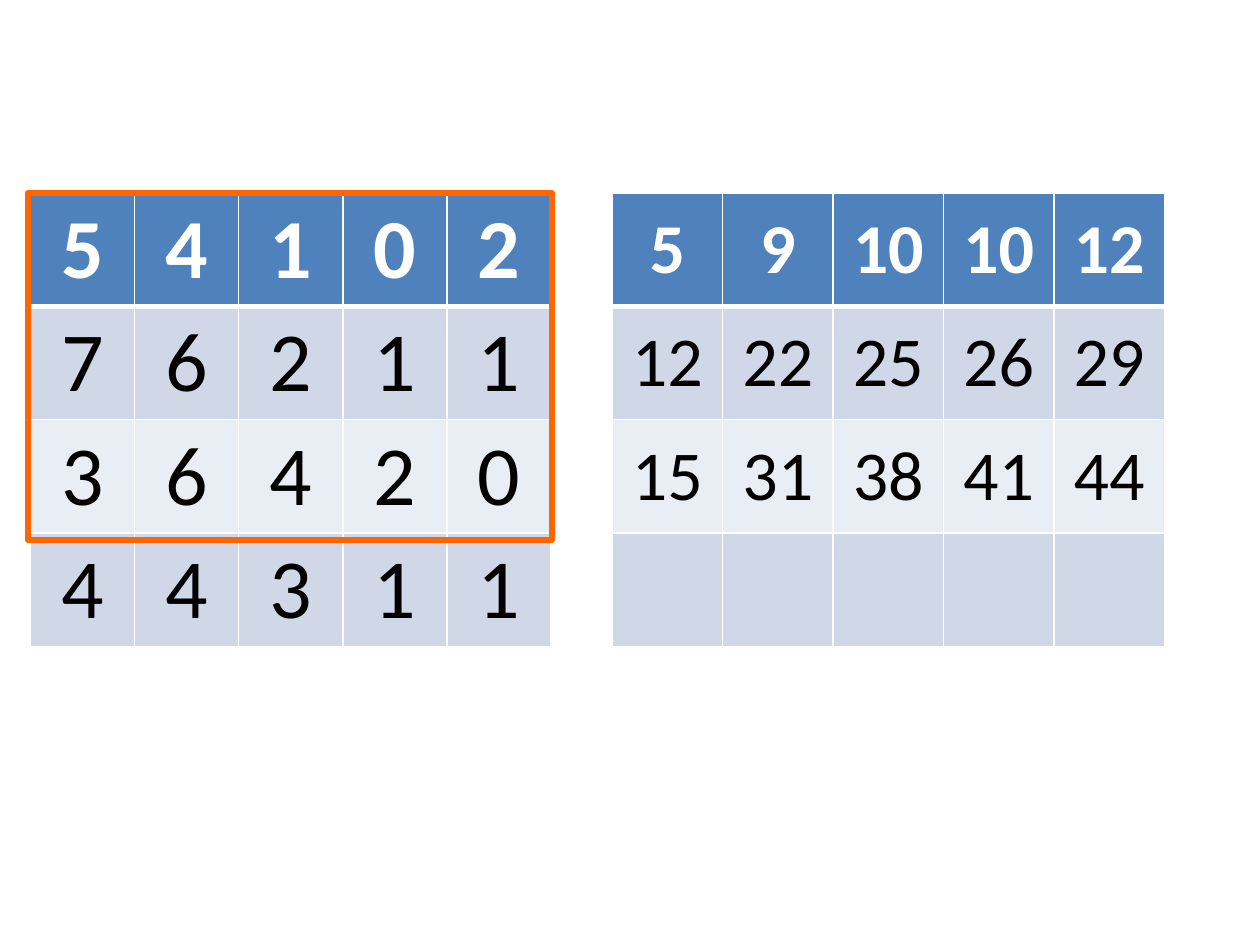
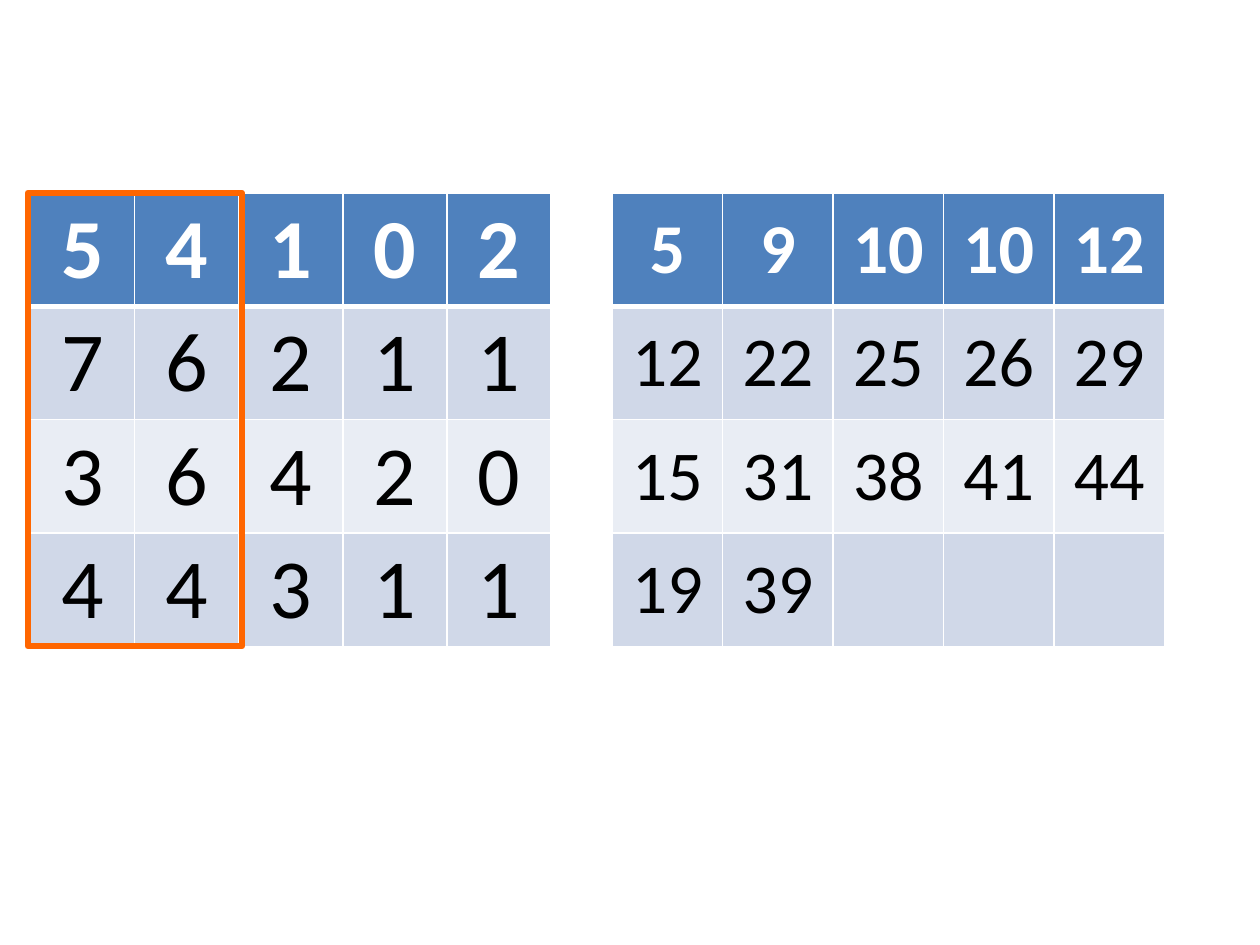
from dataclasses import dataclass

from lxml import etree
from pptx import Presentation
from pptx.dml.color import RGBColor
from pptx.enum.shapes import MSO_SHAPE
from pptx.enum.text import MSO_ANCHOR, PP_ALIGN
from pptx.oxml.ns import qn
from pptx.slide import Slide
from pptx.table import _Cell
from pptx.util import Cm, Pt

RECT = MSO_SHAPE.RECTANGLE
MIDDLE = MSO_ANCHOR.MIDDLE
CENTER = PP_ALIGN.CENTER
BLANK = 6


@dataclass(frozen=True)
class Theme:
    font: str = "Calibri"
    white: str = "FFFFFF"
    black: str = "000000"
    head: str = "4F81BD"
    bands: tuple[str, str] = ("D0D8E8", "E9EDF4")
    mark: str = "FF6600"
    big: int = 48
    mid: int = 40
    thin: float = 1
    thick: float = 3
    frame: float = 3.5


@dataclass(frozen=True)
class Grid:
    left: float
    width: float
    size: int
    rows: tuple[tuple[int, ...], ...]


@dataclass(frozen=True)
class Frame:
    width: float
    height: float


THEME = Theme()

# Shared placement, in centimetres
TOP, HEIGHT = 3.89, 9.14
FRAME_LEFT = 0.56
PAD = 0.1

# Input numbers and their running two-way sums
INPUT = Grid(0.61, 10.5, THEME.big, (
    (5, 4, 1, 0, 2),
    (7, 6, 2, 1, 1),
    (3, 6, 4, 2, 0),
    (4, 4, 3, 1, 1),
))
SUMS = (
    (5, 9, 10, 10, 12),
    (12, 22, 25, 26, 29),
    (15, 31, 38, 41, 44),
)

# Each step: the last row of sums so far, and the framed input area
STEPS = (
    ((), Frame(10.57, 6.99)),
    ((19, 39), Frame(4.32, HEIGHT)),
)


def put_text(cell: _Cell, text: str, *, size: int, color: str, bold: bool) -> None:
    para = cell.text_frame.paragraphs[0]
    para.alignment = CENTER
    run = para.add_run()
    run.text = text
    font = run.font
    font.name, font.size, font.bold = THEME.font, Pt(size), bold
    font.color.rgb = RGBColor.from_string(color)


def set_edges(cell: _Cell, top: float, bottom: float) -> None:
    props = cell._tc.get_or_add_tcPr()
    edges = {"lnL": THEME.thin, "lnR": THEME.thin, "lnT": top, "lnB": bottom}
    for tag, width in edges.items():
        line = etree.SubElement(props, qn(f"a:{tag}"), w=str(Pt(width)))
        fill = etree.SubElement(line, qn("a:solidFill"))
        etree.SubElement(fill, qn("a:srgbClr"), val=THEME.white)


def style_cell(cell: _Cell, row: int) -> None:
    set_edges(
        cell,
        top=THEME.thick if row == 1 else THEME.thin,
        bottom=THEME.thick if row == 0 else THEME.thin,
    )
    color = THEME.bands[(row - 1) % 2] if row else THEME.head
    cell.fill.solid()
    cell.fill.fore_color.rgb = RGBColor.from_string(color)
    cell.vertical_anchor = MIDDLE
    cell.margin_top = cell.margin_bottom = Cm(PAD)


def draw_grid(slide: Slide, grid: Grid) -> None:
    count, span = len(grid.rows), len(INPUT.rows[0])
    table = slide.shapes.add_table(
        count, span, Cm(grid.left), Cm(TOP), Cm(grid.width), Cm(HEIGHT)
    ).table
    table.horz_banding = False
    for r, row in enumerate(grid.rows):
        for c in range(span):
            cell = table.cell(r, c)
            style_cell(cell, r)
            if c < len(row):
                put_text(
                    cell,
                    str(row[c]),
                    size=grid.size,
                    color=THEME.black if r else THEME.white,
                    bold=r == 0,
                )


def draw_frame(slide: Slide, frame: Frame) -> None:
    box = slide.shapes.add_shape(
        RECT, Cm(FRAME_LEFT), Cm(TOP), Cm(frame.width), Cm(frame.height)
    )
    box.shadow.inherit = False
    box.fill.background()
    box.line.color.rgb = RGBColor.from_string(THEME.mark)
    box.line.width = Pt(THEME.frame)


def main() -> None:
    deck = Presentation()
    deck.slide_width, deck.slide_height = Cm(25.4), Cm(19.05)
    for last, frame in STEPS:
        slide = deck.slides.add_slide(deck.slide_layouts[BLANK])
        draw_grid(slide, INPUT)
        draw_grid(slide, Grid(12.34, 11.13, THEME.mid, (*SUMS, last)))
        draw_frame(slide, frame)
    deck.save("out.pptx")


if __name__ == "__main__":
    main()
